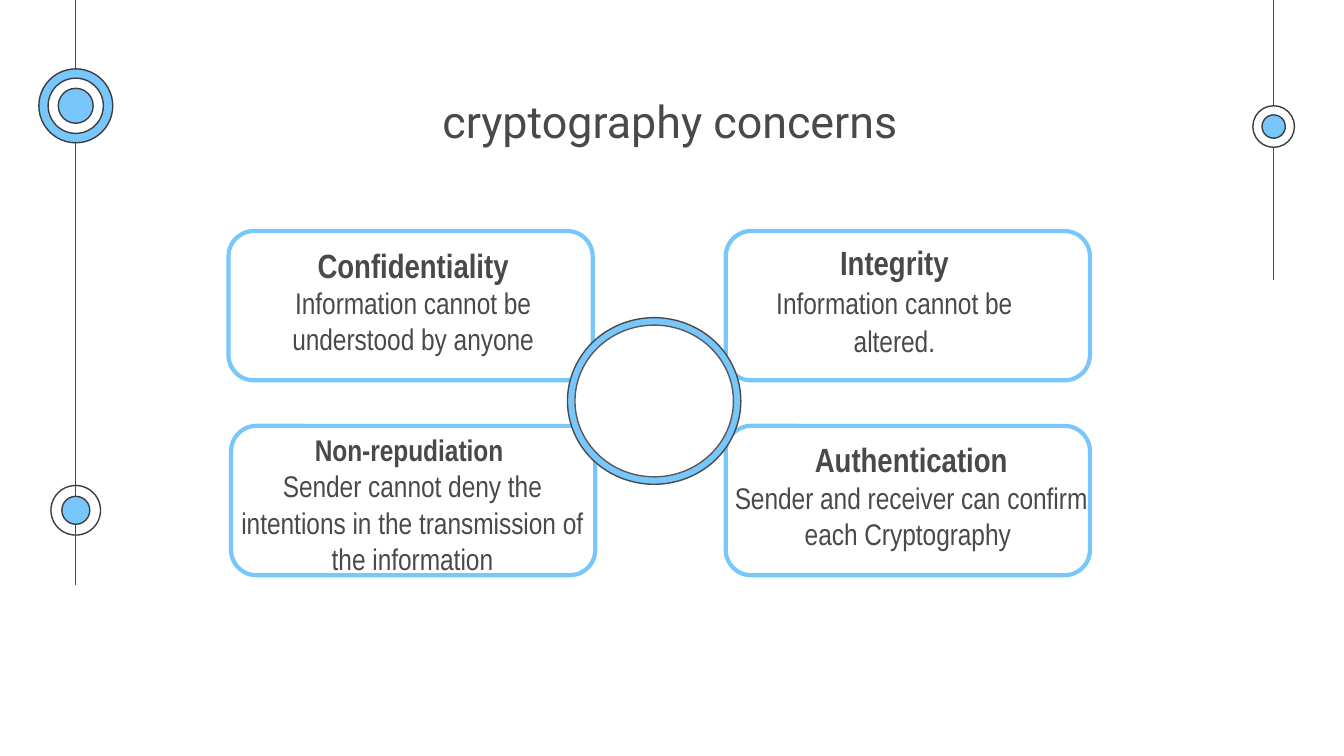
import pptx
import pptx.dml.color
import pptx.enum.shapes
import pptx.enum.text
import pptx.oxml.ns
import pptx.util
from lxml import etree

Pt = pptx.util.Pt
SHAPE = pptx.enum.shapes.MSO_SHAPE
ANCHOR = pptx.enum.text.MSO_ANCHOR
BLUE = pptx.dml.color.RGBColor(0x77, 0xC6, 0xFC)
WHITE = pptx.dml.color.RGBColor(0xFF, 0xFF, 0xFF)
INK = pptx.dml.color.RGBColor(0x49, 0x49, 0x49)
OUTLINE = pptx.dml.color.RGBColor(0x3D, 0x3D, 0x3D)
INNER_RIM = pptx.dml.color.RGBColor(0x59, 0x59, 0x59)

CARD_SIZE = (195.1, 80)
CARD_ORIGINS = ((388.8, 123.8), (123.8, 228.2), (388.8, 228.2), (122.4, 123.8))
CONCERNS = (
    ("Confidentiality", 18, "Information cannot be understood by anyone", 1,
     (123.8, 123.8, 195.1, 82.8)),
    ("Integrity", 18, "Information cannot be\valtered.", 1.07,
     (381.6, 122.4, 195.1, 82.8)),
    ("Non-repudiation ", 16,
     "Sender cannot deny the intentions in the transmission of the information", 1.02,
     (116.6, 223.9, 208.8, 82.8)),
    ("Authentication", 18, "Sender and receiver can confirm each Cryptography ", 1,
     (383.8, 228.2, 208.8, 82.8)),
)
RAILS = ((40.6, 313.2), (682.3, 149.8))
TARGETS = (
    (40.6, 273.4, ((26.6, None), (15, BLUE))),
    (682.3, 67.8, ((22.3, WHITE), (12.5, BLUE))),
    (40.6, 56.7, ((39.6, BLUE), (29.6, WHITE), (18.7, BLUE))),
)


def add_outlined(slide, kind, box, fill, line, weight):
    """Add a preset shape with a plain fill and outline."""
    shape = slide.shapes.add_shape(kind, *map(Pt, box))
    shape.shadow.inherit = False
    if fill is None:
        shape.fill.background()
    else:
        shape.fill.solid()
        shape.fill.fore_color.rgb = fill
    shape.line.color.rgb = line
    shape.line.width = Pt(weight)
    return shape


def add_rail(slide, x, bottom):
    """Add a vertical line from the top edge of the slide."""
    rail = slide.shapes.add_connector(
        pptx.enum.shapes.MSO_CONNECTOR.STRAIGHT, Pt(x), Pt(0), Pt(x), Pt(bottom))
    rail.line.color.rgb = INK
    rail.line.width = Pt(0.75)
    etree.SubElement(rail._element.spPr, pptx.oxml.ns.qn("a:effectLst"))


def add_target(slide, x, y, rings):
    """Add concentric circles, given as diameter and fill."""
    for diameter, fill in rings:
        box = (x - diameter / 2, y - diameter / 2, diameter, diameter)
        add_outlined(slide, SHAPE.OVAL, box, fill, OUTLINE, 0.75)


def write(paragraph, text, size=16, font="Arial Narrow", bold=False, spacing=1):
    """Write centred text into a paragraph."""
    paragraph.text = text
    paragraph.alignment = pptx.enum.text.PP_ALIGN.CENTER
    paragraph.line_spacing = spacing
    for run in paragraph.runs:
        run.font.size = Pt(size)
        run.font.name = font
        run.font.bold = bold
        run.font.color.rgb = INK


def prepare_frame(frame, anchor):
    """Set wrapping, margins and anchor of a text frame."""
    frame.word_wrap = True
    frame.auto_size = pptx.enum.text.MSO_AUTO_SIZE.NONE
    frame.vertical_anchor = anchor
    frame.margin_left = frame.margin_right = Pt(7.2)
    frame.margin_top = frame.margin_bottom = Pt(7.2)


def add_title(slide, text):
    """Place and fill the title placeholder."""
    title = slide.shapes.title
    title.left, title.top, title.width, title.height = map(Pt, (122.4, 41, 473, 46.8))
    prepare_frame(title.text_frame, ANCHOR.MIDDLE)
    write(title.text_frame.paragraphs[0], text, size=24, font="Roboto")


def add_concern(slide, heading, heading_size, detail, spacing, box):
    """Add a bold heading with its explanation."""
    frame = slide.shapes.add_textbox(*map(Pt, box)).text_frame
    prepare_frame(frame, ANCHOR.TOP)
    write(frame.paragraphs[0], heading, size=heading_size, bold=True)
    write(frame.add_paragraph(), detail, spacing=spacing)


def main():
    """Build the cryptography concerns slide."""
    deck = pptx.Presentation()
    deck.slide_width, deck.slide_height = Pt(720), Pt(405)
    slide = deck.slides.add_slide(deck.slide_layouts[5])
    for rail in RAILS:
        add_rail(slide, *rail)
    for target in TARGETS:
        add_target(slide, *target)
    for origin in CARD_ORIGINS:
        card = add_outlined(
            slide, SHAPE.ROUNDED_RECTANGLE, origin + CARD_SIZE, None, BLUE, 2.25)
        card.adjustments[0] = 0.17
    add_title(slide, "cryptography concerns")
    for concern in CONCERNS:
        add_concern(slide, *concern)
    add_outlined(slide, SHAPE.OVAL, (304, 170.2, 92.9, 89.3), BLUE, INK, 0.75)
    add_outlined(slide, SHAPE.OVAL, (308, 174.2, 84.9, 81.3), WHITE, INNER_RIM, 0.75)
    deck.save("out.pptx")


if __name__ == "__main__":
    main()
